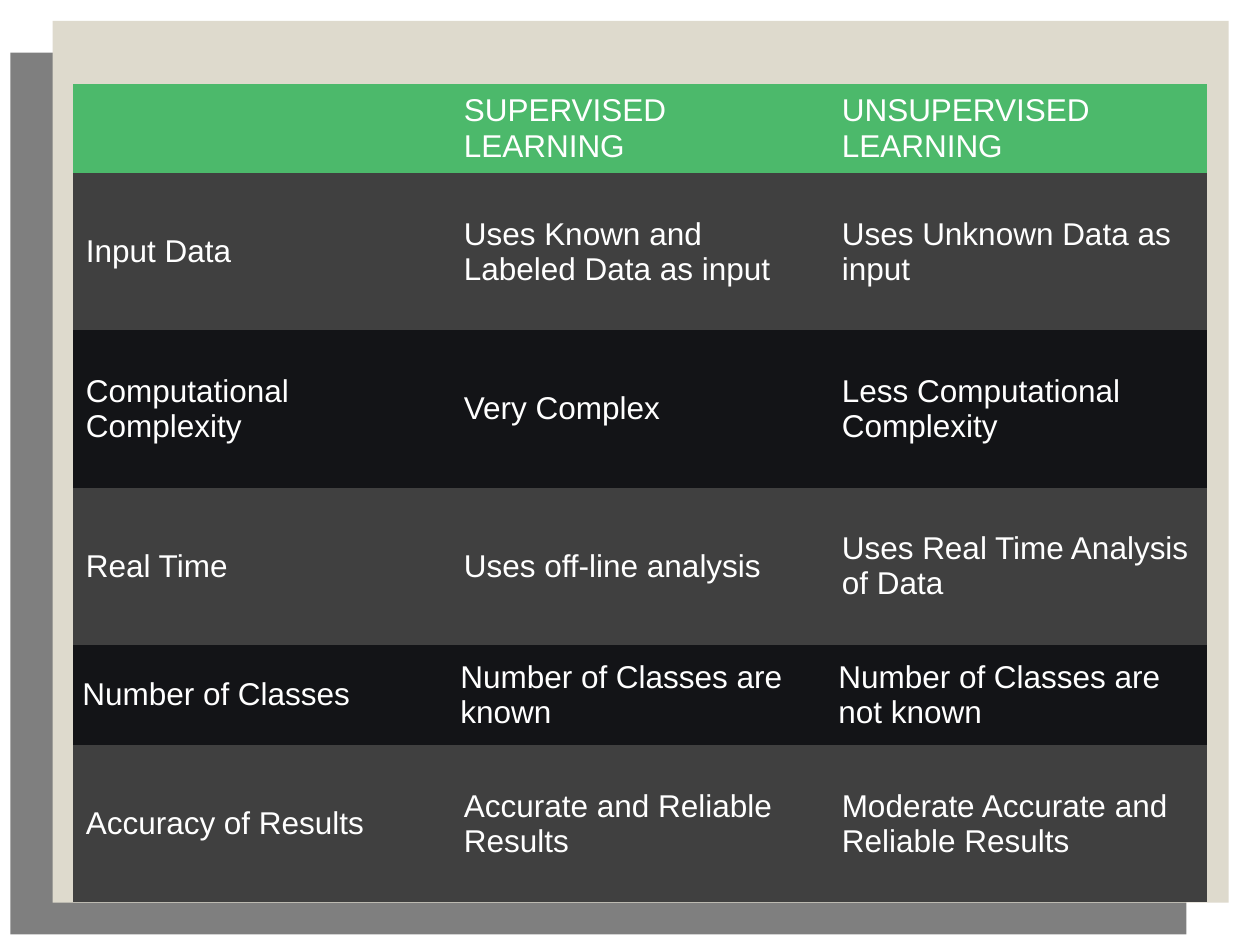
"""Build a slide comparing supervised and unsupervised learning in a table."""
from lxml.etree import SubElement
from pptx import Presentation
from pptx.dml.color import RGBColor
from pptx.enum.shapes import MSO_SHAPE
from pptx.enum.text import MSO_ANCHOR
from pptx.oxml.ns import qn
from pptx.util import Cm, Pt


def paint(fill, colour):
    """Give a fill one solid colour."""
    fill.solid()
    fill.fore_color.rgb = RGBColor.from_string(colour)


def add_panel(left, top, colour):
    """Add one of the two large background panels."""
    panel = slide.shapes.add_shape(MSO_SHAPE.RECTANGLE, Cm(left), Cm(top), Cm(23.71), Cm(17.78))
    panel.shadow.inherit = False
    panel.line.fill.background()
    paint(panel.fill, colour)
    return panel


GREEN, GREY, BLACK = "4CB96B", "404040", "131417"
ROWS = [
    (1.8, GREEN, ["", "SUPERVISED LEARNING", "UNSUPERVISED LEARNING"]),
    (3.17, GREY, ["Input Data", "Uses Known and Labeled Data as input",
                  "Uses Unknown Data as input"]),
    (3.17, BLACK, ["Computational Complexity", "Very Complex",
                   "Less Computational Complexity"]),
    (3.17, GREY, ["Real Time", "Uses off-line analysis",
                  "Uses Real Time Analysis of Data"]),
    (2.02, BLACK, ["Number of Classes", "Number of Classes are known",
                   "Number of Classes are not known"]),
    (3.17, GREY, ["Accuracy of Results", "Accurate and Reliable Results",
                  "Moderate Accurate and Reliable Results"]),
]

presentation = Presentation()
presentation.slide_width = Cm(25.4)
presentation.slide_height = Cm(19.05)
slide = presentation.slides.add_slide(presentation.slide_layouts[6])
paint(slide.background.fill, "FFFFFF")

backdrop = add_panel(0.21, 1.06, "000000")
backdrop_colour = backdrop.fill._xPr.find(qn("a:solidFill")).find(qn("a:srgbClr"))
SubElement(backdrop_colour, qn("a:alpha"), val="50000")
add_panel(1.06, 0.42, "DEDACD")

total_height = sum(height for height, colour, texts in ROWS)
comparison = slide.shapes.add_table(
    len(ROWS), 3, Cm(1.48), Cm(1.69), Cm(22.86), Cm(total_height)).table
for column in comparison.columns:
    column.width = Cm(7.62)

for row, (height, colour, texts) in zip(comparison.rows, ROWS):
    row.height = Cm(height)
    side, edge = (0.18, 0.25) if texts[0] == "Number of Classes" else (0.25, 0.13)
    for cell, text in zip(row.cells, texts):
        paint(cell.fill, colour)
        cell.vertical_anchor = MSO_ANCHOR.MIDDLE
        cell.margin_left = cell.margin_right = Cm(side)
        cell.margin_top = cell.margin_bottom = Cm(edge)
        cell.text_frame.text = text
        for run in cell.text_frame.paragraphs[0].runs:
            run.font.name = "Arial"
            run.font.size = Pt(18)
            run.font.bold = False
            run.font.color.rgb = RGBColor.from_string("FFFFFF")
        borders = cell._tc.get_or_add_tcPr()
        for position, border in enumerate(("a:lnL", "a:lnR", "a:lnT", "a:lnB")):
            line = SubElement(borders, qn(border), w="0")
            SubElement(line, qn("a:noFill"))
            borders.insert(position, line)

presentation.save("out.pptx")
